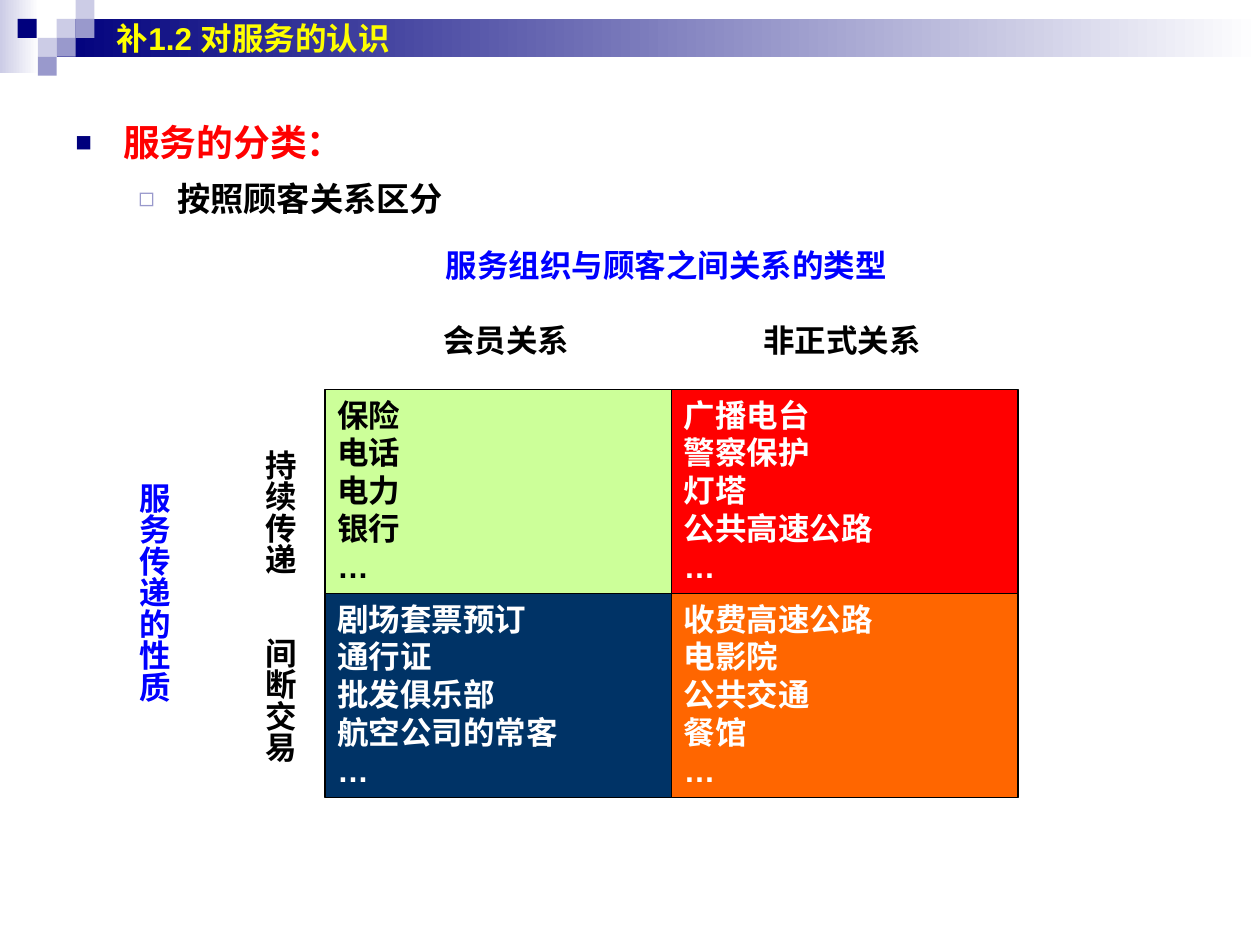
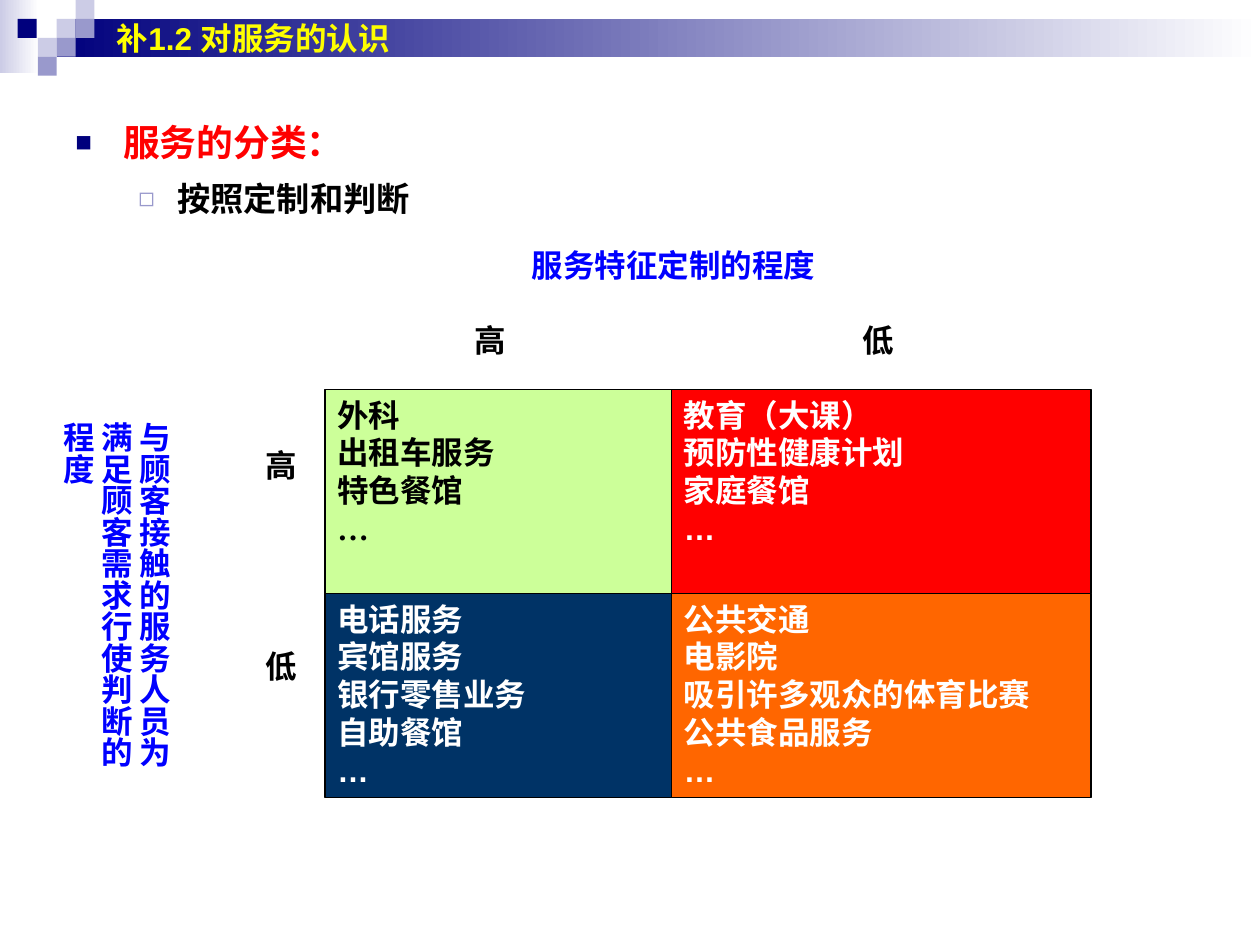
from dataclasses import dataclass
from typing import Any

import lxml.etree
import pptx
import pptx.dml.color
import pptx.enum.shapes
import pptx.enum.text
import pptx.oxml.ns
import pptx.util

Inches = pptx.util.Inches
Pt = pptx.util.Pt
RGBColor = pptx.dml.color.RGBColor

NAVY = RGBColor(0x00, 0x00, 0x7D)
LAVENDER = RGBColor(0x99, 0x99, 0xCC)
PALE = RGBColor(0xCC, 0xCC, 0xE6)
WHITE = RGBColor(0xFF, 0xFF, 0xFF)
BLACK = RGBColor(0x00, 0x00, 0x00)
RED = RGBColor(0xFF, 0x00, 0x00)
BLUE = RGBColor(0x00, 0x00, 0xFF)
YELLOW = RGBColor(0xFF, 0xFF, 0x00)
LIME = RGBColor(0xCC, 0xFF, 0x99)
DEEP_BLUE = RGBColor(0x00, 0x33, 0x66)
ORANGE = RGBColor(0xFF, 0x66, 0x00)

BODY_FONT = "Arial"
TITLE = "补1.2 对服务的认识"
HEADING = "服务的分类："
GRID_LEFT, GRID_TOP = 2.58, 3.09
LEFT_COLUMN_WIDTH, ROW_HEIGHT = 2.75, 1.62
CHARACTER = 0.25


@dataclass(frozen=True)
class Block:
    """A borderless rectangle of the header, fading to white on request."""

    left: float
    top: float
    color: RGBColor
    width: float = 0.15
    height: float = 0.15
    fades: bool = False


@dataclass(frozen=True)
class Bullet:
    """The look of one outline level."""

    symbol: str
    symbol_color: RGBColor
    symbol_percent: int
    margin: float
    hanging: float
    size: int
    color: RGBColor


@dataclass(frozen=True)
class Label:
    """A caption of the matrix; a wrapped one states its own extent."""

    text: str
    left: float
    top: float
    color: RGBColor = BLACK
    vertical: bool = False
    wrapped: tuple[float, float] | None = None

    def extent(self) -> tuple[float, float]:
        """Return the width and height that the characters need."""
        if self.wrapped:
            return self.wrapped
        length = CHARACTER * len(self.text)
        return (0.5, length + 0.1) if self.vertical else (length + 0.2, 0.4)


@dataclass(frozen=True)
class Quadrant:
    """The colours of one matrix cell, in reading order."""

    fill: RGBColor
    text: RGBColor


@dataclass(frozen=True)
class Matrix:
    """The content of one classification slide."""

    criterion: str
    right_column_width: float
    examples: tuple[str, ...]
    labels: tuple[Label, ...]
    ellipsis_fonts: tuple[str, ...] = (BODY_FONT,) * 4


HEADER = (
    Block(0, 0, PALE, 0.31, 0.58, fades=True),
    Block(0.45, 0.15, NAVY, 9.55, 0.3, fades=True),
    Block(0.45, 0.15, PALE),
    Block(0.6, 0, PALE),
    Block(0.6, 0.15, LAVENDER),
    Block(0.3, 0.3, PALE),
    Block(0.14, 0.15, NAVY),
    Block(0.45, 0.3, LAVENDER),
    Block(0.3, 0.45, LAVENDER),
)
BULLETS = (
    Bullet("■", NAVY, 75, 0.38, 0.38, 21, RED),
    Bullet("◻", LAVENDER, 80, 0.81, 0.31, 19, BLACK),
)
QUADRANTS = (
    Quadrant(LIME, BLACK),
    Quadrant(RED, WHITE),
    Quadrant(DEEP_BLUE, WHITE),
    Quadrant(ORANGE, WHITE),
)
MATRICES = (
    Matrix(
        "按照顾客关系区分",
        2.75,
        (
            "保险 电话 电力 银行 …",
            "广播电台 警察保护 灯塔 公共高速公路 …",
            "剧场套票预订 通行证 批发俱乐部 航空公司的常客 …",
            "收费高速公路 电影院 公共交通 餐馆 …",
        ),
        (
            Label("持续传递", 1.92, 3.47, vertical=True),
            Label("间断交易", 1.92, 4.96, vertical=True),
            Label("会员关系", 3.42, 2.5),
            Label("非正式关系", 5.96, 2.5),
            Label("服务传递的性质", 0.92, 3.73, BLUE, vertical=True),
            Label("服务组织与顾客之间关系的类型", 3.44, 1.9, BLUE),
        ),
    ),
    Matrix(
        "按照定制和判断",
        3.33,
        (
            "外科 出租车服务 特色餐馆 …",
            "教育（大课） 预防性健康计划 家庭餐馆 …",
            "电话服务 宾馆服务 银行零售业务 自助餐馆 …",
            "公共交通 电影院 吸引许多观众的体育比赛 公共食品服务 …",
        ),
        (
            Label("高", 1.92, 3.47, vertical=True),
            Label("低", 1.92, 5.07, vertical=True),
            Label("高", 3.67, 2.5),
            Label("低", 6.75, 2.5),
            Label(
                "与顾客接触的服务人员为满足顾客需求行使判断的程度",
                0.62, 3.25, BLUE, vertical=True, wrapped=(0.8, 3.18),
            ),
            Label("服务特征定制的程度", 4.12, 1.9, BLUE),
        ),
        ("Times New Roman", BODY_FONT, BODY_FONT, BODY_FONT),
    ),
)


def style(paragraph: Any, color: RGBColor, size: int = 18, name: str = BODY_FONT) -> None:
    """Set the bold font of a whole paragraph."""
    font = paragraph.font
    font.name, font.size, font.bold = name, Pt(size), True
    font.color.rgb = color


def add_rectangle(slide: Any, left: float, top: float, width: float, height: float) -> Any:
    """Add a rectangle without shadow."""
    rectangle = slide.shapes.add_shape(
        pptx.enum.shapes.MSO_SHAPE.RECTANGLE,
        Inches(left), Inches(top), Inches(width), Inches(height),
    )
    rectangle.shadow.inherit = False
    return rectangle


def draw_block(slide: Any, block: Block) -> None:
    """Draw one header block."""
    rectangle = add_rectangle(slide, block.left, block.top, block.width, block.height)
    rectangle.line.fill.background()
    fill = rectangle.fill
    if block.fades:
        fill.gradient()
        fill.gradient_angle = 0
        for stop, color in zip(fill.gradient_stops, (block.color, WHITE)):
            stop.color.rgb = color
    else:
        fill.solid()
        fill.fore_color.rgb = block.color


def draw_label(slide: Any, label: Label) -> None:
    """Draw a caption, horizontal or vertical."""
    width, height = label.extent()
    caption = slide.shapes.add_textbox(
        Inches(label.left), Inches(label.top), Inches(width), Inches(height)
    )
    frame = caption.text_frame
    frame.text = label.text
    frame.word_wrap = label.wrapped is not None
    frame.auto_size = pptx.enum.text.MSO_AUTO_SIZE.SHAPE_TO_FIT_TEXT
    if label.vertical:
        caption.element.txBody.bodyPr.set("vert", "eaVert")
    style(frame.paragraphs[0], label.color)


def set_bullet(paragraph: Any, bullet: Bullet) -> None:
    """Give a paragraph its hanging indent and bullet symbol."""
    properties = paragraph._p.get_or_add_pPr()
    properties.set("marL", str(Inches(bullet.margin)))
    properties.set("indent", str(-Inches(bullet.hanging)))
    tag = pptx.oxml.ns.qn
    color = lxml.etree.Element(tag("a:buClr"))
    lxml.etree.SubElement(color, tag("a:srgbClr"), val=str(bullet.symbol_color))
    size = lxml.etree.Element(tag("a:buSzPct"), val=str(bullet.symbol_percent * 1000))
    font = lxml.etree.Element(tag("a:buFont"), typeface=BODY_FONT)
    symbol = lxml.etree.Element(tag("a:buChar"), char=bullet.symbol)
    defaults = properties.find(tag("a:defRPr"))
    for part in (color, size, font, symbol):
        defaults.addprevious(part)


def draw_outline(slide: Any, criterion: str) -> None:
    """Draw the heading and the criterion beneath it."""
    outline = slide.shapes.add_textbox(Inches(0.5), Inches(0.83), Inches(9), Inches(0.58))
    frame = outline.text_frame
    frame.word_wrap = True
    frame.text = f"{HEADING}\n{criterion}"
    for level, (paragraph, bullet) in enumerate(zip(frame.paragraphs, BULLETS)):
        paragraph.level = level
        paragraph.line_spacing = 1.2
        paragraph.space_before = Pt(4)
        style(paragraph, bullet.color, bullet.size)
        set_bullet(paragraph, bullet)


def draw_quadrants(slide: Any, matrix: Matrix) -> None:
    """Draw the two-by-two grid of examples."""
    widths = (LEFT_COLUMN_WIDTH, matrix.right_column_width)
    cells = zip(QUADRANTS, matrix.examples, matrix.ellipsis_fonts)
    for index, (quadrant, examples, ellipsis_font) in enumerate(cells):
        row, column = divmod(index, 2)
        cell = add_rectangle(
            slide,
            GRID_LEFT + column * LEFT_COLUMN_WIDTH,
            GRID_TOP + row * ROW_HEIGHT,
            widths[column],
            ROW_HEIGHT,
        )
        cell.fill.solid()
        cell.fill.fore_color.rgb = quadrant.fill
        cell.line.color.rgb = BLACK
        cell.line.width = Pt(0.75)
        frame = cell.text_frame
        frame.vertical_anchor = pptx.enum.text.MSO_ANCHOR.TOP
        frame.text = "\n".join(examples.split())
        for paragraph in frame.paragraphs:
            paragraph.alignment = pptx.enum.text.PP_ALIGN.LEFT
            name = ellipsis_font if paragraph.text == "…" else BODY_FONT
            style(paragraph, quadrant.text, name=name)


def draw_slide(deck: Any, matrix: Matrix) -> None:
    """Add one classification slide."""
    slide = deck.slides.add_slide(deck.slide_layouts[6])
    for block in HEADER:
        draw_block(slide, block)
    draw_outline(slide, matrix.criterion)
    draw_quadrants(slide, matrix)
    for label in matrix.labels:
        draw_label(slide, label)
    draw_label(slide, Label(TITLE, 0.83, 0.1, YELLOW, wrapped=(2.5, 0.4)))


def main() -> None:
    """Build and save the deck."""
    deck = pptx.Presentation()
    deck.slide_width, deck.slide_height = Inches(10), Inches(7.5)
    for matrix in MATRICES:
        draw_slide(deck, matrix)
    deck.save("out.pptx")


if __name__ == "__main__":
    main()
